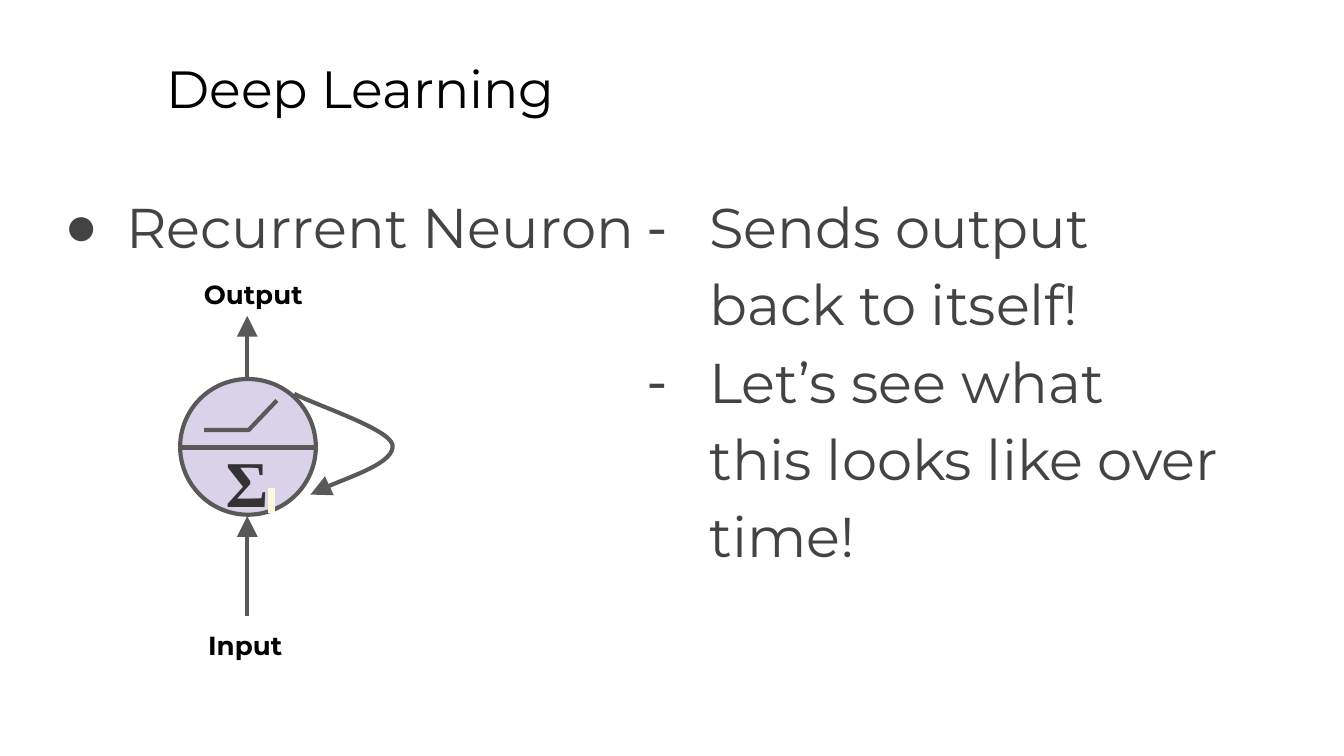
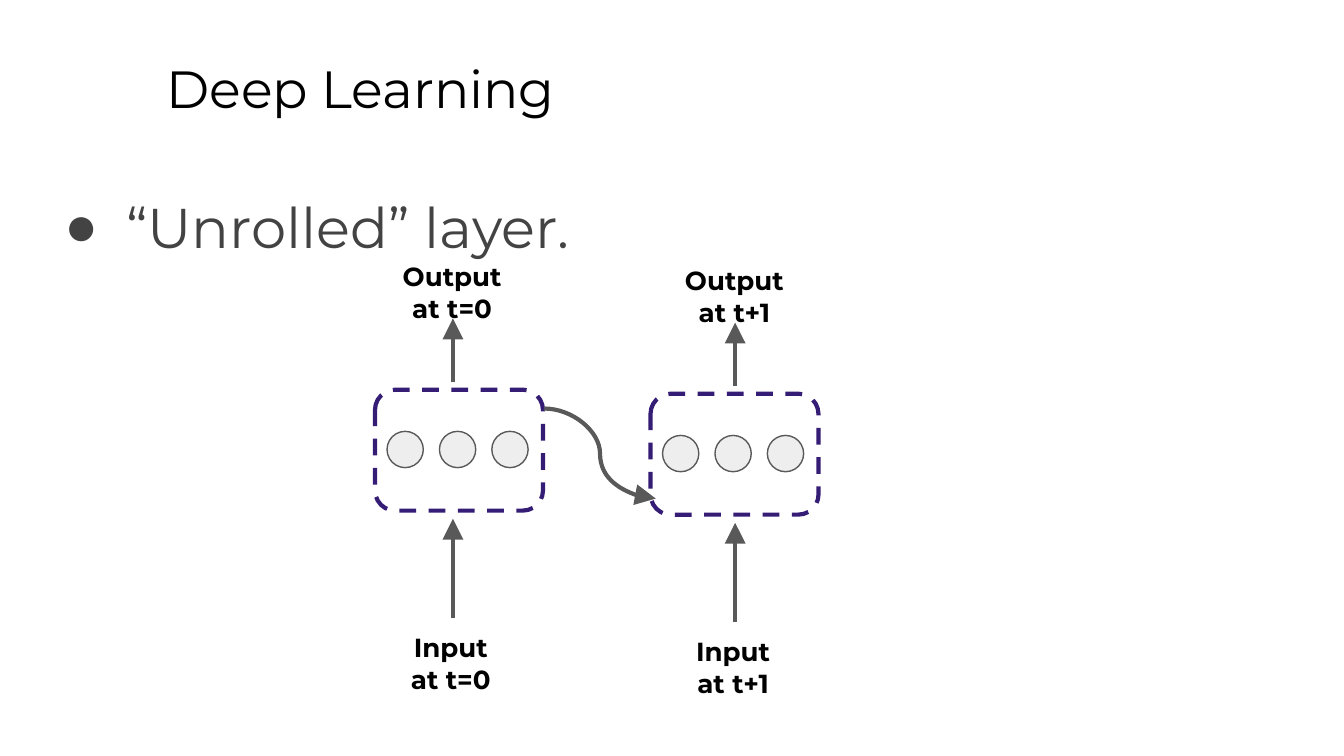
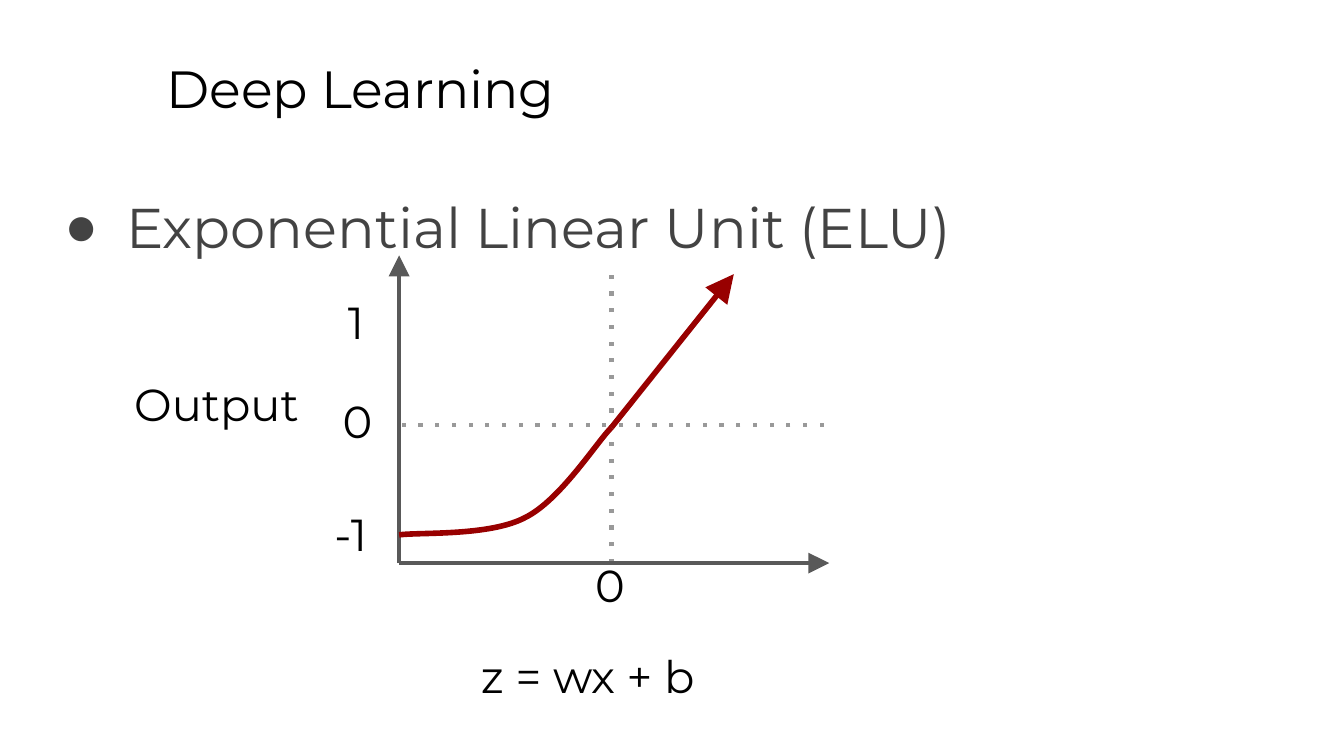
"""Build three slides on recurrent neurons, unrolled layers and the ELU."""
from lxml import etree
from pptx import Presentation
from pptx.dml.color import RGBColor
from pptx.enum.shapes import MSO_CONNECTOR, MSO_SHAPE
from pptx.enum.text import MSO_ANCHOR, PP_ALIGN
from pptx.oxml.ns import qn
from pptx.util import Inches, Pt

OVAL, ROUND = MSO_SHAPE.OVAL, MSO_SHAPE.ROUNDED_RECTANGLE
LINE, CURVE = MSO_CONNECTOR.STRAIGHT, MSO_CONNECTOR.CURVE
TOP, MIDDLE = MSO_ANCHOR.TOP, MSO_ANCHOR.MIDDLE
LEFT, CENTER = PP_ALIGN.LEFT, PP_ALIGN.CENTER

BLACK = RGBColor(0x00, 0x00, 0x00)
INK = RGBColor(0x43, 0x43, 0x43)
DARK = RGBColor(0x33, 0x33, 0x33)
GRAY = RGBColor(0x59, 0x59, 0x59)
PALE = RGBColor(0x99, 0x99, 0x99)
LIGHT = RGBColor(0xEE, 0xEE, 0xEE)
LILAC = RGBColor(0xD9, 0xD2, 0xE9)
VIOLET = RGBColor(0x35, 0x1C, 0x75)
RED = RGBColor(0x98, 0x00, 0x00)
CREAM = RGBColor(0xFF, 0xF8, 0xDC)

WIDTH = Inches(10)
HEIGHT = WIDTH * 9 // 16
SANS, SERIF = "Montserrat", "Times New Roman"
TITLE = {"name": SANS, "size": Pt(28)}
BODY = {"name": SANS, "size": Pt(30)}
LABEL = {"name": SANS, "size": Pt(14), "bold": True}
AXIS = {"name": SANS, "size": Pt(24)}
SIGMA = {"name": SERIF, "size": Pt(35), "bold": True}
MARK = {"name": "DejaVu Sans", "size": Pt(11.5), "bold": False}
FRAME = {"word_wrap": True, "margin_left": Inches(0.1),
         "margin_right": Inches(0.1), "margin_top": Inches(0.1),
         "margin_bottom": Inches(0.1)}


def apply(item, form):
    """Set each format value on the item."""
    for key, value in form.items():
        setattr(item, key, value)


def add_tag(owner, tag, **values):
    """Append a drawing element with the given attributes."""
    node = etree.SubElement(owner, qn("a:" + tag))
    for key, value in values.items():
        node.set(key, str(value))
    return node


def add_run(para, text, form, color):
    """Add a formatted run to a paragraph."""
    run = para.add_run()
    run.text = text
    apply(run.font, form)
    run.font.color.rgb = color
    return run


def add_frame(slide, box, anchor=TOP):
    """Add an empty wrapped text box and return its frame."""
    frame = slide.shapes.add_textbox(*map(Inches, box)).text_frame
    apply(frame, FRAME)
    frame.vertical_anchor = anchor
    return frame


def add_text(slide, box, lines, form, align=LEFT):
    """Add black text, one paragraph for each line."""
    frame = add_frame(slide, box)
    for i, line in enumerate(lines):
        para = frame.add_paragraph() if i else frame.paragraphs[0]
        para.alignment = align
        add_run(para, line, form, BLACK)


def add_label(slide, left, top, *lines):
    """Add a small bold label."""
    add_text(slide, (left, top, 0.97, 0.37), lines, LABEL, CENTER)


def add_list(slide, box, items, sign="●"):
    """Add a list whose bullets show the given sign."""
    frame = add_frame(slide, box)
    for i, item in enumerate(items):
        para = frame.add_paragraph() if i else frame.paragraphs[0]
        last = i == len(items) - 1
        apply(para, {"line_spacing": 1.15, "space_after": Pt(16 if last else 0)})
        props = para._p.get_or_add_pPr()
        props.set("marL", str(Inches(0.5)))
        props.set("indent", str(Inches(-0.46)))
        add_tag(add_tag(props, "buClr"), "srgbClr", val=INK)
        add_tag(props, "buFont", typeface=SERIF)
        add_tag(props, "buChar", char=sign)
        add_run(para, item, BODY, INK)


def stroke(shape, color=GRAY, width=2.25, dash=None, arrow=False):
    """Style the outline, with a dash and an arrowhead on request."""
    shape.line.color.rgb = color
    shape.line.width = Pt(width)
    line = shape.element.xpath(".//a:ln")[0]
    if dash:
        add_tag(line, "prstDash", val=dash)
    if arrow:
        add_tag(line, "tailEnd", type="triangle", w="lg", len="lg")


def add_line(slide, start, end, kind=LINE, **look):
    """Join two points with a connector."""
    link = slide.shapes.add_connector(kind, *map(Inches, (*start, *end)))
    stroke(link, **look)
    add_tag(link.element.spPr, "effectLst")


def add_form(slide, kind, box, fill=None, **look):
    """Add a preset shape."""
    shape = slide.shapes.add_shape(kind, *map(Inches, box))
    shape.shadow.inherit = False
    if fill is None:
        shape.fill.background()
    else:
        shape.fill.solid()
        shape.fill.fore_color.rgb = fill
    stroke(shape, **look)


def add_trace(slide, points, smooth=False, **look):
    """Draw an open outline; smooth reads points as cubic triples."""
    first, *rest = [tuple(map(Inches, point)) for point in points]
    maker = slide.shapes.build_freeform(*first)
    maker.add_line_segments(rest, close=False)
    shape = maker.convert_to_shape()
    shape.shadow.inherit = False
    shape.fill.background()
    stroke(shape, **look)
    steps = shape.element.xpath(".//a:lnTo") if smooth else []
    for i in range(0, len(steps), 3):
        curve = etree.Element(qn("a:cubicBezTo"))
        steps[i].addprevious(curve)
        for step in steps[i:i + 3]:
            curve.append(step[0])
            step.getparent().remove(step)


def add_page(deck):
    """Add a blank slide with the shared title."""
    slide = deck.slides.add_slide(deck.slide_layouts[6])
    add_text(slide, (1.14, 0.32, 8.52, 0.63), ["Deep Learning"], TITLE)
    return slide


def add_sigma(slide):
    """Add the sum sign and its highlighted space."""
    para = add_frame(slide, (1.58, 3.27, 0.67, 0.63), MIDDLE).paragraphs[0]
    add_run(para, "Σ", SIGMA, DARK)
    mark = add_run(para, " ", MARK, DARK)
    glow = etree.Element(qn("a:highlight"))
    add_tag(glow, "srgbClr", val=CREAM)
    mark._r.rPr.find(qn("a:solidFill")).addnext(glow)


def add_layer(slide, left, top, axis, label, entry):
    """Draw one unrolled layer with its input and output."""
    add_line(slide, (axis, top - 0.06), (axis, top - 0.53), arrow=True)
    add_line(slide, (axis, top + 1.7), (axis, top + 0.96), arrow=True)
    add_label(slide, axis - 0.5, top + 1.7, *entry)
    add_label(slide, axis - 0.49, top - 1.06, "Output " + label)
    add_form(slide, ROUND, (left, top, 1.25, 0.9), color=VIOLET, dash="dash")
    for i in range(3):
        spot = (left + 0.09 + 0.39 * i, top + 0.31, 0.27, 0.27)
        add_form(slide, OVAL, spot, LIGHT, width=0.75)


def draw_neuron(deck):
    """Draw the recurrent neuron slide."""
    slide = add_page(deck)
    add_list(slide, (0.34, 1.26, 4.5, 3.74), ["Recurrent Neuron"])
    add_form(slide, OVAL, (1.34, 2.82, 1.01, 1.01), LILAC)
    add_line(slide, (1.84, 2.82), (1.84, 2.35), arrow=True)
    add_line(slide, (1.84, 4.58), (1.84, 3.84), arrow=True)
    add_line(slide, (1.34, 3.33), (2.35, 3.33))
    add_sigma(slide)
    add_trace(slide, [(1.52, 3.2), (1.85, 3.2), (2.06, 2.98)])
    add_label(slide, 1.34, 4.58, "Input")
    add_label(slide, 1.4, 1.97, "Output")
    loop = [(2.19, 2.93), (2.31, 3), (2.9, 3.19), (2.92, 3.31),
            (2.94, 3.44), (2.41, 3.62), (2.31, 3.68)]
    add_trace(slide, loop, smooth=True, arrow=True)
    add_list(slide, (4.68, 1.26, 4.5, 3.74),
             ["Sends output back to itself!",
              "Let’s see what this looks like over time!"], "-")


def draw_layers(deck):
    """Draw the unrolled layer slide."""
    slide = add_page(deck)
    add_list(slide, (0.34, 1.26, 9.52, 0.85), ["“Unrolled” layer."])
    add_layer(slide, 2.79, 2.9, 3.37, "at t=0", ["Input", "at t=0"])
    add_layer(slide, 4.84, 2.93, 5.47, "at t+1", ["Input at t+1"])
    add_line(slide, (4.05, 3.04), (4.88, 3.71), CURVE, arrow=True)


def draw_elu(deck):
    """Draw the exponential linear unit slide."""
    slide = add_page(deck)
    add_line(slide, (4.55, 4.19), (4.55, 1.97), color=PALE, dash="dot")
    add_list(slide, (0.34, 1.26, 9.52, 0.56), ["Exponential Linear Unit (ELU)"])
    for end in ((2.97, 1.9), (6.17, 4.19)):
        add_line(slide, (2.97, 4.19), end, arrow=True)
    add_line(slide, (6.13, 3.16), (2.97, 3.16), color=PALE, dash="dot")
    for text, left, top, width in (
            ("z = wx + b", 3.48, 4.73, 2.42), ("Output", 0.9, 2.7, 1.62),
            ("0", 2.45, 2.83, 1.62), ("1", 2.49, 2.09, 1.62),
            ("0", 4.33, 4.05, 0.54), ("-1", 2.39, 3.67, 1.62)):
        add_text(slide, (left, top, width, 0.55), [text], AXIS)
    bend = [(2.97, 3.98), (3.13, 3.96), (3.65, 3.99), (3.91, 3.85),
            (4.17, 3.72), (4.44, 3.29), (4.55, 3.18)]
    add_trace(slide, bend, smooth=True, color=RED, width=3)
    add_line(slide, (4.55, 3.18), (5.46, 2.04), color=RED, width=3, arrow=True)


def main():
    """Build and save the deck."""
    deck = Presentation()
    apply(deck, {"slide_width": WIDTH, "slide_height": HEIGHT})
    for draw in (draw_neuron, draw_layers, draw_elu):
        draw(deck)
    deck.save("out.pptx")


if __name__ == "__main__":
    main()
